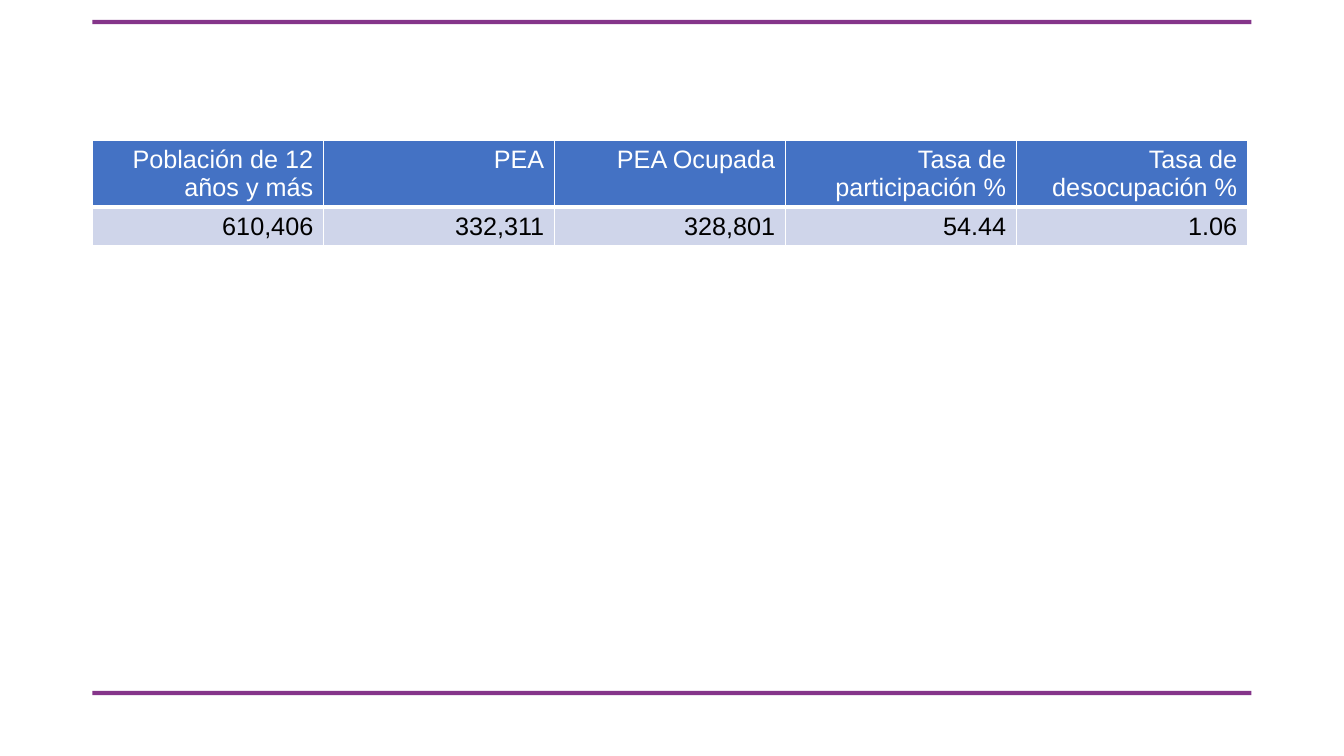
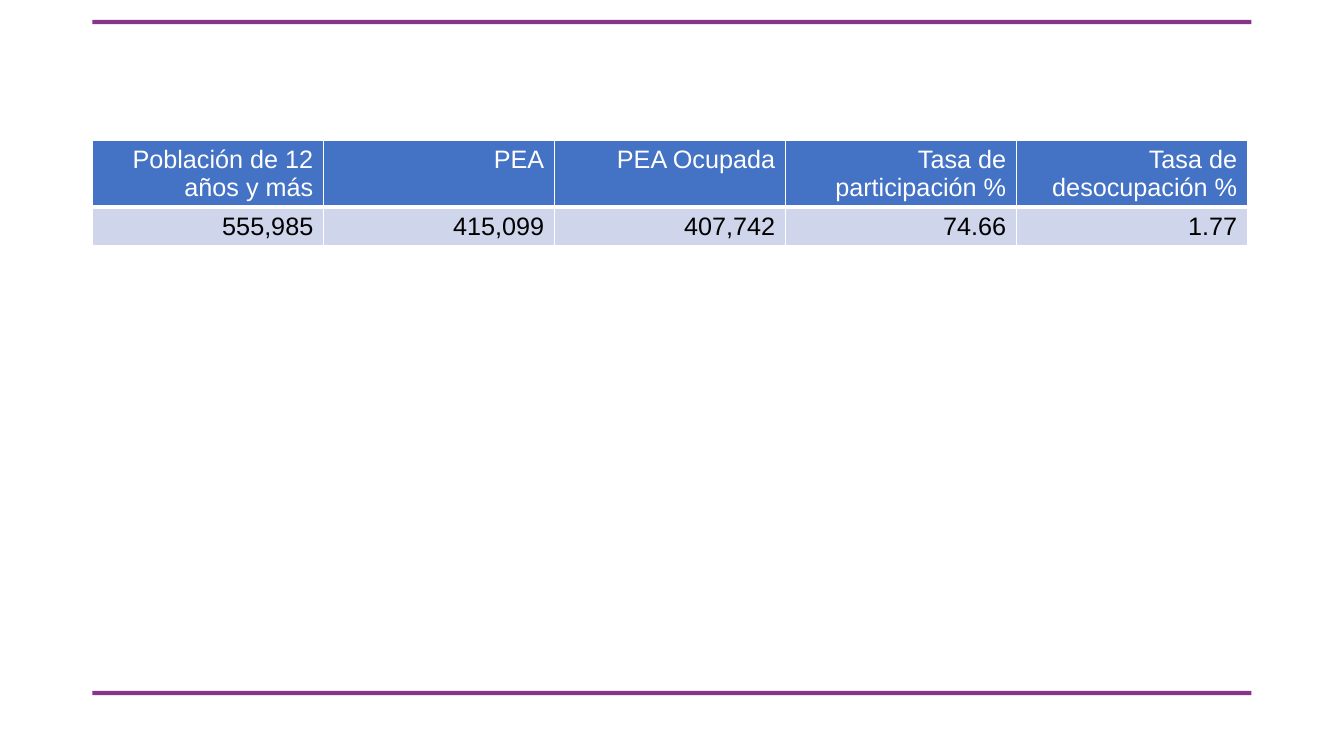
from dataclasses import dataclass

from lxml.etree import SubElement
from pptx import Presentation
from pptx.dml.color import RGBColor
from pptx.enum.shapes import MSO_SHAPE
from pptx.enum.text import PP_ALIGN
from pptx.oxml.ns import qn
from pptx.util import Pt

EMU_PER_PX = 9525


@dataclass(frozen=True)
class Theme:
    band: str = "85358A"
    header_fill: str = "4472C4"
    header_text: str = "FFFFFF"
    value_fill: str = "CFD5EA"
    value_text: str = "000000"
    border: str = "FFFFFF"
    font: str = "Arial"
    table_size: int = 18
    thin_border: int = 1
    thick_border: int = 3


THEME = Theme()
SLIDE_SIZE = (1280, 720)
BAND_BOXES = [(88, 658, 1104, 4), (88, 19, 1104, 4)]
TABLE_BOX = (88, 134, 1100, 99)
HEADER_HEIGHT = 63

HEADERS = [
    "Población de 12 años y más",
    "PEA",
    "PEA Ocupada",
    "Tasa de participación %",
    "Tasa de desocupación %",
]
LABOUR_FIGURES = [
    ["610,406", "332,311", "328,801", "54.44", "1.06"],
    ["555,985", "415,099", "407,742", "74.66", "1.77"],
]


def px(length):
    return length * EMU_PER_PX


def rgb(value):
    return RGBColor.from_string(value)


def add_band(slide, box):
    band = slide.shapes.add_shape(MSO_SHAPE.RECTANGLE, *map(px, box))
    band.shadow.inherit = False
    band.fill.solid()
    band.fill.fore_color.rgb = rgb(THEME.band)
    band.line.fill.background()
    return band


def move_bands_to_layout(slide):
    layout = slide.slide_layout
    bands = [add_band(slide, box) for box in BAND_BOXES]
    for placeholder in list(layout.placeholders):
        layout.shapes.element.remove(placeholder.element)
    for band in bands:
        layout.shapes.element.append(band.element)


def set_borders(cell, bottom_width):
    properties = cell._tc.get_or_add_tcPr()
    thin = THEME.thin_border
    widths = {"lnL": thin, "lnR": thin, "lnT": thin, "lnB": bottom_width}
    for side, width in widths.items():
        border = SubElement(properties, qn(f"a:{side}"), w=str(Pt(width)))
        fill = SubElement(border, qn("a:solidFill"))
        SubElement(fill, qn("a:srgbClr"), val=THEME.border)


def fill_row(cells, texts, fill, colour, bottom_width):
    for cell, text in zip(cells, texts):
        set_borders(cell, bottom_width)
        cell.fill.solid()
        cell.fill.fore_color.rgb = rgb(fill)
        cell.text_frame.text = text
        paragraph = cell.text_frame.paragraphs[0]
        paragraph.alignment = PP_ALIGN.RIGHT
        font = paragraph.runs[0].font
        font.name = THEME.font
        font.size = Pt(THEME.table_size)
        font.bold = False
        font.color.rgb = rgb(colour)


def add_labour_table(slide, box, figures):
    left, top, width, height = box
    table = slide.shapes.add_table(
        2, len(HEADERS), px(left), px(top), px(width), px(height)
    ).table
    table.first_row = False
    table.horz_banding = False
    for column in table.columns:
        column.width = px(width // len(HEADERS))
    header_row, value_row = table.rows
    header_row.height = px(HEADER_HEIGHT)
    value_row.height = px(height - HEADER_HEIGHT)
    fill_row(header_row.cells, HEADERS, THEME.header_fill,
             THEME.header_text, THEME.thick_border)
    fill_row(value_row.cells, figures, THEME.value_fill,
             THEME.value_text, THEME.thin_border)


def main():
    presentation = Presentation()
    presentation.slide_width, presentation.slide_height = map(px, SLIDE_SIZE)
    blank_layout = presentation.slide_layouts[6]
    slides = [presentation.slides.add_slide(blank_layout) for _ in LABOUR_FIGURES]
    move_bands_to_layout(slides[0])
    for slide, figures in zip(slides, LABOUR_FIGURES):
        add_labour_table(slide, TABLE_BOX, figures)
    presentation.save("out.pptx")


if __name__ == "__main__":
    main()
